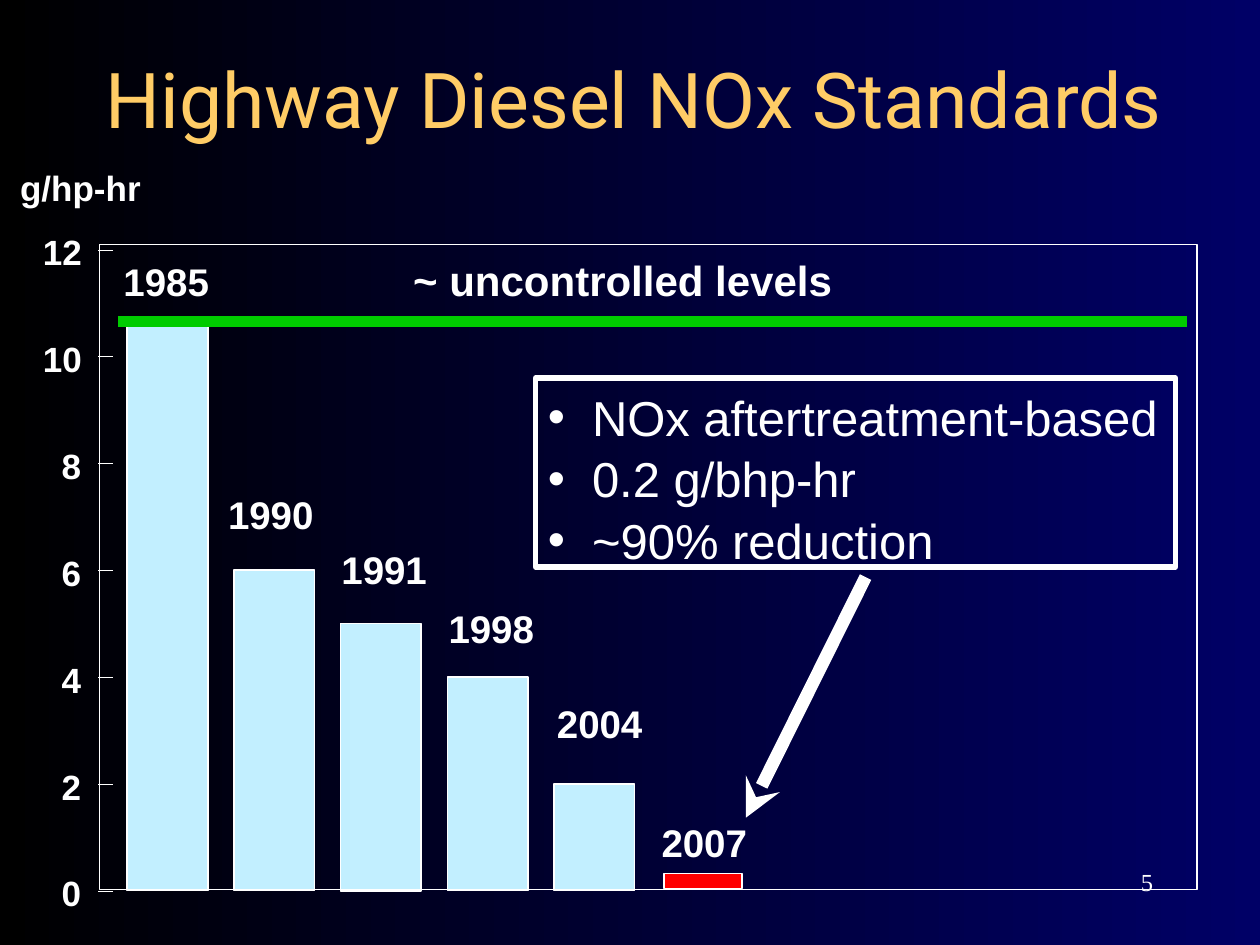
from lxml import etree
from pptx import Presentation
from pptx.dml.color import RGBColor
from pptx.enum.shapes import MSO_CONNECTOR, MSO_SHAPE
from pptx.enum.text import MSO_ANCHOR, PP_ALIGN
from pptx.oxml.ns import qn
from pptx.util import Inches, Pt

STRAIGHT, RECT = MSO_CONNECTOR.STRAIGHT, MSO_SHAPE.RECTANGLE
LEFT, CENTER, RIGHT = PP_ALIGN.LEFT, PP_ALIGN.CENTER, PP_ALIGN.RIGHT
TOP, MIDDLE = MSO_ANCHOR.TOP, MSO_ANCHOR.MIDDLE

# Content
TITLE = "Highway Diesel NOx Standards"
UNIT = "g/hp-hr"
REFERENCE = "~ uncontrolled levels"
PAGE_NUMBER = "5"
NOTES = ["NOx aftertreatment-based", "0.2 g/bhp-hr", "~90% reduction"]
AXIS_VALUES = range(0, 13, 2)
STANDARDS = [("1985", 10.7), ("1990", 6), ("1991", 5), ("1998", 4), ("2004", 2)]
YEAR_LABELS = [  # year, left, top
    ("1985", 0.98, 2.05), ("1990", 1.81, 3.9), ("1991", 2.71, 4.33),
    ("1998", 3.56, 4.8), ("2004", 4.42, 5.56), ("2007", 5.25, 6.5),
]

THEME = {
    "white": "FFFFFF", "title": "FFCC66", "bar": "C2EFFF", "new_bar": "FF0000",
    "reference": "00CC00", "night": "000066", "black": "000000",
    "body_font": "Arial", "title_font": "Roboto", "number_font": "Times New Roman",
    "title_size": 44, "note_size": 28, "reference_size": 24,
    "year_size": 22, "axis_size": 20, "number_size": 14,
}

# Plot geometry in inches
PLOT = (0.79, 1.94, 8.71, 5.12)
BASE = 7.07
PER_GRAM = 0.424
FIRST_BAR, BAR_STEP, BAR_WIDTH = 1.01, 0.847, 0.64


def color(name):
    return RGBColor.from_string(THEME[name])


def add_span(para, text, size, font="body_font", fill="white", bold=False):
    span = para.add_run()
    span.text = text
    span.font.size = Pt(THEME[size])
    span.font.name = THEME[font]
    span.font.bold = bold
    span.font.color.rgb = color(fill)


def add_text(page, place, text, size, font="body_font", fill="white", bold=False,
             align=LEFT, anchor=TOP, margins=(0, 0), wrap=False):
    box = page.shapes.add_textbox(*map(Inches, place))
    frame = box.text_frame
    frame.word_wrap = wrap
    frame.vertical_anchor = anchor
    frame.margin_left = frame.margin_right = Inches(margins[0])
    frame.margin_top = frame.margin_bottom = Inches(margins[1])
    para = frame.paragraphs[0]
    para.alignment = align
    add_span(para, text, size, font, fill, bold)


def add_box(page, place, width, fill=None):
    box = page.shapes.add_shape(RECT, *map(Inches, place))
    box.shadow.inherit = False
    if fill:
        box.fill.solid()
        box.fill.fore_color.rgb = color(fill)
    else:
        box.fill.background()
    box.line.color.rgb = color("white")
    box.line.width = Pt(width)
    return box


def add_line(page, start, end, width, fill="white", head=None):
    line = page.shapes.add_connector(STRAIGHT, *map(Inches, (*start, *end)))
    line.line.color.rgb = color(fill)
    line.line.width = Pt(width)
    if head:
        etree.SubElement(line.line._get_or_add_ln(), qn("a:tailEnd"), type=head)
    etree.SubElement(line._element.spPr, qn("a:effectLst"))


def add_bullet(para):
    props = para._p.get_or_add_pPr()
    props.set("marL", str(Inches(0.35)))
    props.set("indent", str(-Inches(0.35)))
    etree.SubElement(props, qn("a:buFont"), typeface=THEME["body_font"])
    etree.SubElement(props, qn("a:buChar"), char="•")


def main():
    deck = Presentation()
    deck.slide_width, deck.slide_height = Inches(10), Inches(7.5)
    page = deck.slides.add_slide(deck.slide_layouts[6])

    # Background
    backdrop = page.background.fill
    backdrop.gradient()
    backdrop.gradient_angle = 180
    for stop, name in zip(backdrop.gradient_stops, ("night", "black")):
        stop.color.rgb = color(name)

    # Axis labels and unit
    for value in AXIS_VALUES:
        width = 0.31 if value >= 10 else 0.16
        top = BASE - 0.15 - value * PER_GRAM
        add_text(page, (0.65 - width, top, width, 0.33), str(value),
                 "axis_size", bold=True)
    add_text(page, (0.16, 1.32, 0.96, 0.33), UNIT, "axis_size", bold=True)

    # Bars
    for index, (_, grams) in enumerate(STANDARDS):
        height = grams * PER_GRAM
        left = FIRST_BAR + index * BAR_STEP
        add_box(page, (left, BASE - height, BAR_WIDTH, height), 0.88, "bar")

    # Ticks and plot frame
    for value in AXIS_VALUES:
        y = BASE - value * PER_GRAM
        add_line(page, (0.78, y), (0.9, y), 0.11)
    add_box(page, PLOT, 0.88)

    # Reference level, 2007 bar and year labels
    add_text(page, (3.28, 2.02, 3.33, 0.4), REFERENCE, "reference_size", bold=True)
    add_line(page, (0.94, 2.55), (9.42, 2.55), 6.12, "reference")
    add_box(page, (5.27, 6.93, 0.62, 0.12), 0.75, "new_bar")
    for year, left, top in YEAR_LABELS:
        add_text(page, (left, top, 0.68, 0.37), year, "year_size", bold=True)

    # Callout with arrow to 2007
    add_line(page, (6.87, 4.58), (5.92, 6.49), 7.25, head="stealth")
    frame = add_box(page, (4.25, 3, 5.08, 1.5), 3).text_frame
    frame.word_wrap = True
    frame.vertical_anchor = TOP
    for index, note in enumerate(NOTES):
        para = frame.add_paragraph() if index else frame.paragraphs[0]
        add_bullet(para)
        para.alignment = LEFT
        para.line_spacing = 1.05
        add_span(para, note, "note_size")

    # Title and page number
    add_text(page, (0.27, 0.15, 9.53, 1.25), TITLE, "title_size", "title_font", "title",
             align=CENTER, anchor=MIDDLE, margins=(0.1, 0.05), wrap=True)
    add_text(page, (7.17, 6.83, 2.08, 0.5), PAGE_NUMBER, "number_size", "number_font",
             align=RIGHT, margins=(0.1, 0.05), wrap=True)

    deck.save("out.pptx")


if __name__ == "__main__":
    main()
